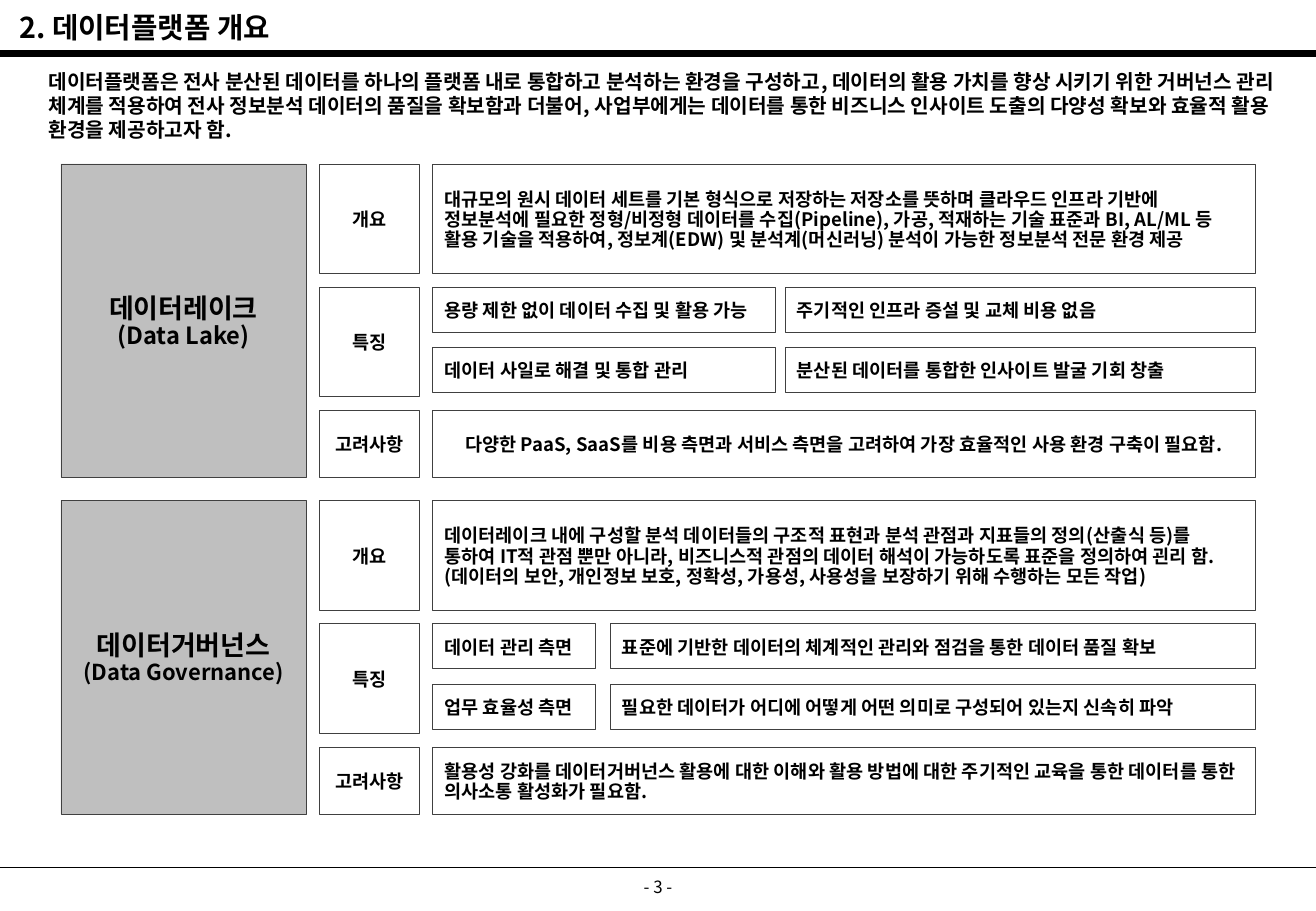
from dataclasses import dataclass
from itertools import accumulate

from lxml import etree
from pptx import Presentation
from pptx import util as u
from pptx.dml.color import RGBColor
from pptx.enum import shapes, text
from pptx.oxml.ns import qn


@dataclass(frozen=True)
class Theme:
    font: str = "Noto Sans CJK KR"
    ink: str = "000000"
    border: str = "404040"
    subject_fill: str = "BFBFBF"
    title: int = 17
    subject: int = 16
    lead: int = 12
    body: int = 11
    page: int = 10


THEME = Theme()
WIDTH, HEIGHT = 10.83, 7.5
CENTER, LEFT = text.PP_ALIGN.CENTER, text.PP_ALIGN.LEFT

TITLE = "2. 데이터플랫폼 개요"
LEAD = (
    "데이터플랫폼은 전사 분산된 데이터를 하나의 플랫폼 내로 통합하고 분석하는 환경을 구성하고, "
    "데이터의 활용 가치를 향상 시키기 위한 거버넌스 관리 체계를 적용하여 전사 정보분석 데이터의 "
    "품질을 확보함과 더불어, 사업부에게는 데이터를 통한 비즈니스 인사이트 도출의 다양성 확보와 "
    "효율적 활용 환경을 제공하고자 함."
)
LAKE = {
    "subject": [("데이터레이크", THEME.subject), ("(Data Lake)", 14)],
    "overview": [
        "대규모의 원시 데이터 세트를 기본 형식으로 저장하는 저장소를 뜻하며 클라우드 인프라 기반에 "
        "정보분석에 필요한 정형/비정형 데이터를 수집(Pipeline), 가공, 적재하는 기술 표준과 BI, AL/ML "
        "등 활용 기술을 적용하여, 정보계(EDW) 및 분석계(머신러닝) 분석이 가능한 정보분석 전문 환경 제공"
    ],
    "features": [
        ("용량 제한 없이 데이터 수집 및 활용 가능", "주기적인 인프라 증설 및 교체 비용 없음"),
        ("데이터 사일로 해결 및 통합 관리", "분산된 데이터를 통합한 인사이트 발굴 기회 창출"),
    ],
    "feature_split": (2.82, 0.08),
    "consideration": "다양한 PaaS, SaaS를 비용 측면과 서비스 측면을 고려하여 가장 효율적인 사용 환경 구축이 필요함.",
    "one_line": True,
}
GOVERNANCE = {
    "subject": [("데이터거버넌스", THEME.subject), ("(Data Governance)", 13)],
    "overview": [
        "데이터레이크 내에 구성할 분석 데이터들의 구조적 표현과 분석 관점과 지표들의 정의(산출식 등)를 "
        "통하여 IT적 관점 뿐만 아니라, 비즈니스적 관점의 데이터 해석이 가능하도록 표준을 정의하여 괸리 함.",
        "(데이터의 보안, 개인정보 보호, 정확성, 가용성, 사용성을 보장하기 위해 수행하는 모든 작업)",
    ],
    "features": [
        ("데이터 관리 측면", "표준에 기반한 데이터의 체계적인 관리와 점검을 통한 데이터 품질 확보"),
        ("업무 효율성 측면", "필요한 데이터가 어디에 어떻게 어떤 의미로 구성되어 있는지 신속히 파악"),
    ],
    "feature_split": (1.34, 0.12),
    "consideration": "활용성 강화를 데이터거버넌스 활용에 대한 이해와 활용 방법에 대한 주기적인 교육을 통한 "
    "데이터를 통한 의사소통 활성화가 필요함.",
    "one_line": False,
}


def inches(box):
    return [u.Inches(length) for length in box]


def add_run(paragraph, words, size, bold=True):
    run = paragraph.add_run()
    run.text = words
    run.font.size = u.Pt(size)
    run.font.bold = bold
    run.font.color.rgb = RGBColor.from_string(THEME.ink)
    run.font.name = THEME.font
    etree.SubElement(run.font._element, qn("a:ea"), typeface=THEME.font)


def add_caption(slide, box, words, size, align=LEFT, bold=True):
    frame = slide.shapes.add_textbox(*inches(box)).text_frame
    frame.word_wrap = True
    frame.paragraphs[0].alignment = align
    add_run(frame.paragraphs[0], words, size, bold)


def add_cell(slide, box, align=LEFT, fill=None, wrap=True):
    cell = slide.shapes.add_shape(shapes.MSO_SHAPE.ROUNDED_RECTANGLE, *inches(box))
    cell.adjustments[0] = 0
    cell.shadow.inherit = False
    if fill:
        cell.fill.solid()
        cell.fill.fore_color.rgb = RGBColor.from_string(fill)
    else:
        cell.fill.background()
    cell.line.color.rgb = RGBColor.from_string(THEME.border)
    cell.line.width = u.Pt(0.25)
    frame = cell.text_frame
    frame.word_wrap = wrap
    frame.vertical_anchor = text.MSO_ANCHOR.MIDDLE
    frame.margin_left, frame.margin_top, frame.margin_right, frame.margin_bottom = inches(
        (0.1, 0.08, 0.1, 0.05)
    )
    frame.paragraphs[0].alignment = align
    frame.paragraphs[0].line_spacing = 0.9
    return frame


def add_body_cell(slide, box, lines, align=LEFT, wrap=True):
    paragraph = add_cell(slide, box, align, wrap=wrap).paragraphs[0]
    for index, line in enumerate(lines):
        if index:
            paragraph.add_line_break()
        add_run(paragraph, line, THEME.body)


def add_subject(slide, box, names):
    frame = add_cell(slide, box, CENTER, THEME.subject_fill)
    for index, (name, size) in enumerate(names):
        paragraph = frame.add_paragraph() if index else frame.paragraphs[0]
        paragraph.alignment = CENTER
        paragraph.line_spacing = 0.9
        add_run(paragraph, name, size)


def add_features(slide, box, rows, split):
    left, top, width, _ = box
    first, gap = split
    rest = first + gap
    for index, (lead, detail) in enumerate(rows):
        row_top = top + index * 0.495
        add_body_cell(slide, (left, row_top, first, 0.37), [lead])
        add_body_cell(slide, (left + rest, row_top, width - rest, 0.37), [detail])


def add_section(slide, box, section):
    left, top, width, height = box
    subject_width, label_width, gap = 2.02, 0.82, 0.11
    label_left = left + subject_width + gap
    detail_left = label_left + label_width + gap
    detail_width = left + width - detail_left
    row_heights = (0.9, 0.9, 0.55)
    row_gap = (height - sum(row_heights)) / 2
    row_tops = accumulate((h + row_gap for h in row_heights[:2]), initial=top)

    add_subject(slide, (left, top, subject_width, height), section["subject"])
    details = []
    for label, row_top, row_height in zip(("개요", "특징", "고려사항"), row_tops, row_heights):
        add_body_cell(slide, (label_left, row_top, label_width, row_height), [label], CENTER, False)
        details.append((detail_left, row_top, detail_width, row_height))

    overview, features, consideration = details
    one_line = section["one_line"]
    add_body_cell(slide, overview, section["overview"])
    add_features(slide, features, section["features"], section["feature_split"])
    add_body_cell(
        slide, consideration, [section["consideration"]], CENTER if one_line else LEFT, not one_line
    )


def add_rule(slide, top, weight):
    rule = slide.shapes.add_connector(
        shapes.MSO_CONNECTOR.STRAIGHT, *inches((0, top, WIDTH, top))
    )
    rule.line.color.rgb = RGBColor.from_string(THEME.ink)
    rule.line.width = u.Pt(weight)
    etree.SubElement(rule._element.spPr, qn("a:effectLst"))


def add_header(slide, box):
    left, top, width, height = box
    add_rule(slide, top + height, 4.5)
    add_caption(slide, (left + 0.06, top + 0.03, width - 0.35, height - 0.05), TITLE, THEME.title)


def add_footer(slide, box):
    left, top, width, height = box
    add_rule(slide, top, 0.75)
    page_width = 2.53
    page_left = left + (width - page_width) / 2
    add_caption(
        slide, (page_left, top + 0.03, page_width, height - 0.03), "- 3 -", THEME.page, CENTER, False
    )


def main():
    deck = Presentation()
    deck.slide_width, deck.slide_height = inches((WIDTH, HEIGHT))
    slide = deck.slides.add_slide(deck.slide_layouts[6])
    add_header(slide, (0, 0, WIDTH, 0.44))
    add_caption(slide, (0.3, 0.52, 10.48, 0.34), LEAD, THEME.lead)
    for top, section in ((1.35, LAKE), (4.12, GOVERNANCE)):
        add_section(slide, (0.5, top, WIDTH - 1, 2.58), section)
    add_footer(slide, (0, 7.14, WIDTH, HEIGHT - 7.14))
    deck.save("out.pptx")


if __name__ == "__main__":
    main()
